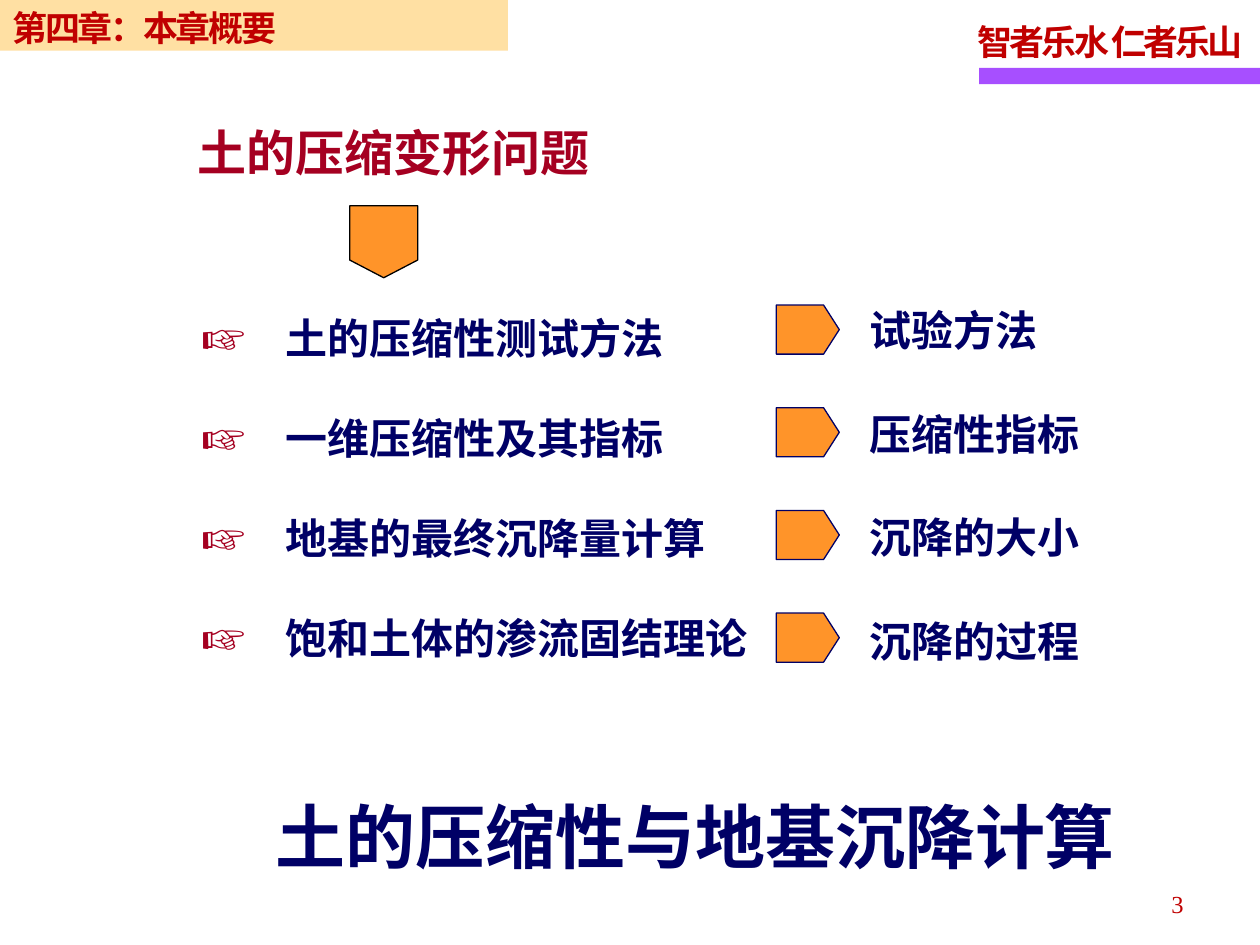
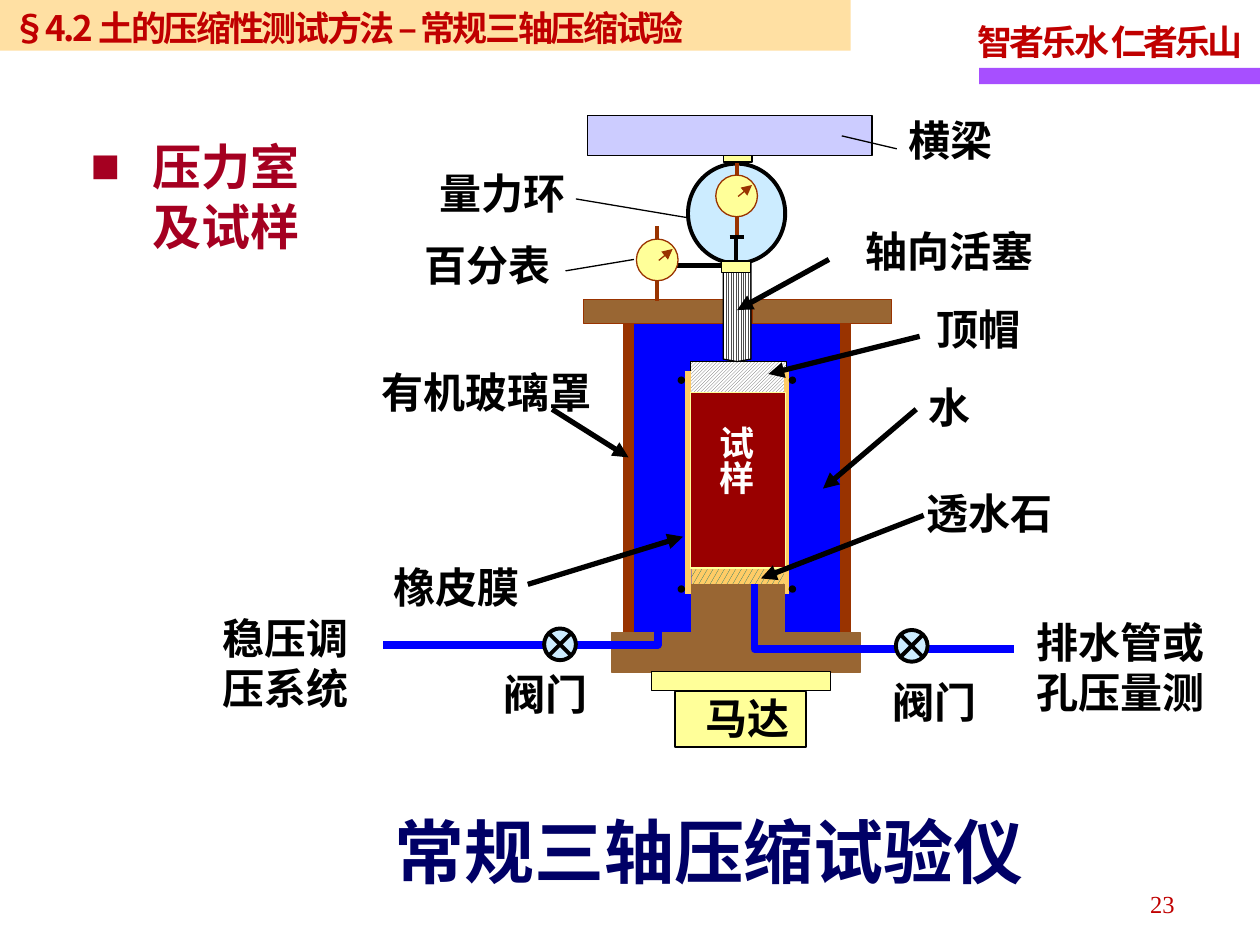
from dataclasses import dataclass
from itertools import product

from lxml import etree
from pptx import Presentation
from pptx import util as u
from pptx.dml.color import RGBColor
from pptx.enum import dml, shapes, text
from pptx.oxml.ns import qn

SHAPE = shapes.MSO_SHAPE
PATTERN = dml.MSO_PATTERN
ALIGN = text.PP_ALIGN
ANCHOR = text.MSO_ANCHOR


@dataclass(frozen=True)
class Theme:
    serif: str = "Times New Roman"
    sans: str = "Noto Sans CJK SC"
    banner: str = "FFCC66"
    stripe: str = "A74FFF"
    red: str = "C00000"
    crimson: str = "A50021"
    navy: str = "000066"
    orange: str = "FF9429"
    black: str = "000000"
    white: str = "FFFFFF"
    water: str = "0000FF"
    brown: str = "996633"
    rust: str = "993300"
    sample: str = "990000"
    yellow: str = "FFFF99"
    pale: str = "CCECFF"
    lilac: str = "CCCCFF"
    page_size: int = 14
    band_size: int = 20
    label_size: int = 24
    heading_size: int = 28
    caption_size: int = 40


T = Theme()


def rgb(value):
    return RGBColor.from_string(value)


def assign(target, values):
    for name, value in values.items():
        setattr(target, name, value)


def sub(parent, tag, **values):
    return etree.SubElement(parent, qn(tag), values)


def place(box, x, y, w, h):
    return [u.Cm(value) for value in (box[0] + x, box[1] + y, w, h)]


def write(shape, words, size, color, font=T.serif, bold=True, align=ALIGN.LEFT,
          spacing=1.3, spc=0, inset=0.2, anchor=ANCHOR.MIDDLE, bullet=None):
    frame = shape.text_frame
    assign(frame, {"word_wrap": True, "auto_size": text.MSO_AUTO_SIZE.NONE,
                   "vertical_anchor": anchor,
                   "margin_left": u.Cm(inset), "margin_right": u.Cm(inset),
                   "margin_top": 0, "margin_bottom": 0})
    frame.text = words
    for para in frame.paragraphs:
        assign(para, {"alignment": align, "space_before": u.Pt(0), "space_after": u.Pt(0)})
        if spacing:
            para.line_spacing = u.Pt(round(size * spacing, 1))
        if bullet:
            add_bullet(para, *bullet)
        for span in para.runs:
            assign(span.font, {"size": u.Pt(size), "bold": bold, "name": font})
            span.font.color.rgb = rgb(color)
            props = span.font._element
            sub(props, "a:ea", typeface=T.sans)
            if spc:
                props.set("spc", str(spc))
    return shape


def add_bullet(para, symbol, indent, percent):
    props = para._p.get_or_add_pPr()
    props.set("marL", str(u.Cm(indent)))
    props.set("indent", str(-u.Cm(indent)))
    sub(sub(props, "a:buClr"), "a:srgbClr", val=T.crimson)
    sub(props, "a:buSzPct", val=str(percent * 1000))
    sub(props, "a:buFont", typeface=T.serif)
    sub(props, "a:buChar", char=symbol)


def label(page, box, area, words, size=T.label_size, color=T.black, **options):
    return write(page.shapes.add_textbox(*place(box, *area)), words, size, color, **options)


def paint(shape, fill=None, line=None, width=0.75):
    shape.shadow.inherit = False
    if isinstance(fill, tuple):
        shape.fill.patterned()
        shape.fill.pattern = fill[0]
        shape.fill.fore_color.rgb = rgb(fill[1])
        shape.fill.back_color.rgb = rgb(fill[2])
    elif fill:
        shape.fill.solid()
        shape.fill.fore_color.rgb = rgb(fill)
    else:
        shape.fill.background()
    if line:
        shape.line.color.rgb = rgb(line)
        shape.line.width = u.Pt(width)
    else:
        shape.line.fill.background()
    return shape


def block(page, box, area, fill, line=None, width=0.75, kind=SHAPE.RECTANGLE):
    return paint(page.shapes.add_shape(kind, *place(box, *area)), fill, line, width)


def stroke(page, box, ends, color=T.black, width=0.75, arrow=False):
    x1, y1, x2, y2 = ends
    points = place(box, x1, y1, box[0] + x2, box[1] + y2)
    line = page.shapes.add_connector(shapes.MSO_CONNECTOR.STRAIGHT, *points)
    line.line.color.rgb = rgb(color)
    line.line.width = u.Pt(width)
    if arrow:
        sub(line.line._get_or_add_ln(), "a:tailEnd", type="triangle")
    sub(line._element.spPr, "a:effectLst")


def outline(page, box, points, closed=False, **style):
    spots = [tuple(place(box, x, y, 0, 0)[:2]) for x, y in points]
    builder = page.shapes.build_freeform(*spots[0], scale=1.0)
    builder.add_line_segments(spots[1:], close=closed)
    return paint(builder.convert_to_shape(), **style)


def new_page(deck, title, band_width, number, number_left):
    page = deck.slides.add_slide(deck.slide_layouts[5])
    band = page.shapes.title
    assign(band, dict(zip(("left", "top", "width", "height"),
                          place((0, 0), 0, 0, band_width, 1.02))))
    band.fill.solid()
    band.fill.fore_color.rgb = rgb(T.banner)
    color = band._element.spPr.find(qn("a:solidFill"))[0]
    sub(color, "a:alpha", val="60000")
    write(band, title, T.band_size, T.red, font=T.sans, spc=-140, inset=0.25)
    corner = (19.46, 0.18)
    block(page, corner, (0.28, 1.19, 5.66, 0.33), T.stripe)
    label(page, corner, (0, 0, 5.99, 1.24), "智者乐水 仁者乐山", T.band_size, T.red,
          spc=-170, inset=0.25)
    label(page, (number_left, 17.68), (0, 0, 5.92, 1.02), number, T.page_size, T.red,
          bold=False, align=ALIGN.RIGHT, inset=0.25)
    return page


def topic_list(page, box, topics):
    label(page, box, (0, 0, 9.07, 1.42), "土的压缩变形问题", T.heading_size, T.crimson, inset=0)
    down = block(page, box, (3.02, 1.88, 1.45, 1.37), T.orange, T.black, kind=SHAPE.PENTAGON)
    down.rotation = 90
    down.adjustments[0] = 0.26
    label(page, box, (0.07, 3, 11.2, 7.92), "\n".join(topics), T.label_size, T.navy,
          font=T.sans, spacing=2.38, inset=0, anchor=ANCHOR.TOP, bullet=("☞", 1.7, 130))


def outcomes(page, box, names):
    for row, name in enumerate(names):
        arrow = block(page, box, (0, 0.18 + 2.07 * row, 1.27, 0.99), T.orange, T.navy,
                      kind=SHAPE.PENTAGON)
        arrow.adjustments[0] = 0.32
        label(page, box, (1.67, 2.09 * row, 4.78, 1.27), name, color=T.navy)


def caption(page, box, words, font):
    label(page, (0, 0), box, words, T.caption_size, T.navy, font=font)


def cell_body(page, box):
    block(page, box, (8.89, 4.42, 4.32, 6.3), T.water)
    block(page, box, (10.13, 9.42, 1.88, 0.33), (PATTERN.LARGE_CONFETTI, "006666", T.banner))
    block(page, box, (10.11, 5.26, 1.93, 0.64),
          (PATTERN.LIGHT_UPWARD_DIAGONAL, "5F5F5F", T.white), T.black)
    for x in (10.06, 12.04):
        stroke(page, box, (x, 5.45, x, 9.95), T.banner, 3)
    for x, y in product((9.85, 12.09), (5.56, 9.77)):
        block(page, box, (x, y, 0.15, 0.15), T.black, kind=SHAPE.OVAL)
    for area in ((10.13, 9.75, 1.88, 0.97), (8.53, 10.72, 5, 0.81)):
        block(page, box, area, T.brown, T.brown)
    for x in (8.86, 13.23):
        stroke(page, box, (x, 4.47, x, 10.72), T.rust, 6)
    for x in (7.95, 11.35):
        block(page, box, (x, 4.01, 2.82, 0.48), T.brown, T.rust)
    piston = ((10.77, 3.07), (11.33, 3.07), (11.33, 5.21), (11.05, 5.26), (10.77, 5.21))
    outline(page, box, piston, closed=True, line=T.black,
            fill=(PATTERN.LIGHT_VERTICAL, "4D4D4D", T.white))
    block(page, box, (10.11, 5.89, 1.91, 3.53), T.sample, T.yellow)
    name = label(page, box, (10.34, 6.55, 1.35, 2.08), "试样", T.band_size, T.white,
                 align=ALIGN.CENTER, spacing=None, inset=0)
    name.text_frame._txBody.bodyPr.set("vert", "eaVert")


def drainage(page, box):
    pipes = (((9.45, 10.67), (9.45, 10.97), (3.91, 10.97)),
             ((11.4, 9.75), (11.4, 11.05), (16.64, 11.05)))
    for pipe, valve in zip(pipes, ((7.16, 10.64), (14.25, 10.67))):
        outline(page, box, pipe, line=T.water, width=4.5)
        block(page, box, (*valve, 0.64, 0.64), T.pale, T.black, 2.25,
              SHAPE.FLOWCHART_SUMMING_JUNCTION)


def gauge(page, box, x, y):
    stroke(page, box, (x + 0.42, y - 0.26, x + 0.42, y + 1.24), T.rust, 2.25)
    block(page, box, (x, y, 0.84, 0.84), T.yellow, T.rust, kind=SHAPE.OVAL)
    stroke(page, box, (x + 0.45, y + 0.43, x + 0.73, y + 0.2), T.rust, arrow=True)


def loading_frame(page, box):
    block(page, box, (10.06, 1.27, 1.96, 2.01), T.pale, T.black, 2.25, SHAPE.OVAL)
    gauge(page, box, 10.62, 1.5)
    stroke(page, box, (10.9, 2.74, 11.18, 2.74), width=2.25)
    stroke(page, box, (11.02, 2.74, 11.02, 3.23), width=2.25)
    stroke(page, box, (11.05, 3.33, 9.47, 3.33), width=3)
    gauge(page, box, 9.02, 2.79)
    for area in ((10.77, 0.94, 0.58, 0.3), (10.74, 3.23, 0.58, 0.23),
                 (9.32, 11.51, 3.61, 0.38), (9.8, 11.91, 2.64, 1.12)):
        block(page, box, area, T.yellow, T.black)
    block(page, box, (8.03, 0.3, 5.74, 0.81), T.lilac, T.black)


def part_names(page, box):
    names = (
        ("横梁", (14.27, 0.1, 2.18, 1.27), (13.16, 0.71, 14.27, 0.97), False),
        ("量力环", (4.8, 1.17, 3.05, 1.27), (10.06, 2.36, 7.8, 1.98), False),
        ("百分表", (4.5, 2.62, 3.05, 1.27), (8.97, 3.2, 7.59, 3.43), False),
        ("轴向活塞", (12.8, 2.49, 5.08, 0.97), (12.9, 3.2, 11.05, 4.22), True),
        ("顶帽", (14.58, 3.96, 2.67, 1.17), (14.73, 4.75, 11.68, 5.51), True),
        ("水", (14.66, 5.54, 1.33, 1.17), (14.66, 6.22, 12.78, 7.82), True),
        ("有机玻璃罩", (3.61, 5.33, 4.78, 0.97), (7.32, 6.22, 8.86, 7.19), True),
        ("透水石", (14.5, 7.67, 3.28, 1.17), (14.81, 8.36, 11.53, 9.63), True),
        ("橡皮膜", (3.76, 9.27, 3.25, 0.97), (6.83, 9.75, 9.96, 8.79), True),
        ("阀门", (6.05, 11.38, 2.26, 1.07), None, False),
        ("阀门", (13.89, 11.53, 2.26, 1.07), None, False),
        ("马达", (10.16, 11.76, 2.21, 1.27), None, False),
    )
    for words, area, pointer, arrow in names:
        label(page, box, area, words, align=ALIGN.CENTER)
        if pointer:
            stroke(page, box, pointer, width=3 if arrow else 0.75, arrow=arrow)
    for words, area in (("稳压调压系统", (0.13, 10.18, 3.63, 2.29)),
                        ("排水管或\n孔压量测", (16.79, 10.26, 3.96, 2.29))):
        label(page, box, area, words, align=ALIGN.CENTER, spacing=1.2)


def overview_page(deck):
    page = new_page(deck, "第四章：本章概要", 10.24, "3", 18.19)
    topic_list(page, (3.99, 2.31), ("土的压缩性测试方法", "一维压缩性及其指标",
                                    "地基的最终沉降量计算", "饱和土体的渗流固结理论"))
    outcomes(page, (15.65, 5.97), ("试验方法", "压缩性指标", "沉降的大小", "沉降的过程"))
    caption(page, (5.36, 15.8, 18.11, 1.96), "土的压缩性与地基沉降计算", T.serif)


def apparatus_page(deck):
    page = new_page(deck, "§4.2 土的压缩性测试方法 – 常规三轴压缩试验", 17.15, "23", 18.01)
    label(page, (1.83, 2.74), (0, 0, 5.89, 2.39), "压力室\v及试样", T.heading_size, T.crimson,
          font=T.sans, spacing=1.22, inset=0, bullet=("■", 1.24, 100))
    box = (3.81, 2.03)
    for draw in (cell_body, drainage, loading_frame, part_names):
        draw(page, box)
    caption(page, (7.75, 16.1, 13.51, 1.96), "常规三轴压缩试验仪", T.sans)


def main():
    deck = Presentation()
    assign(deck, {"slide_width": u.Cm(25.4), "slide_height": u.Cm(19.05)})
    overview_page(deck)
    apparatus_page(deck)
    deck.save("out.pptx")


if __name__ == "__main__":
    main()
